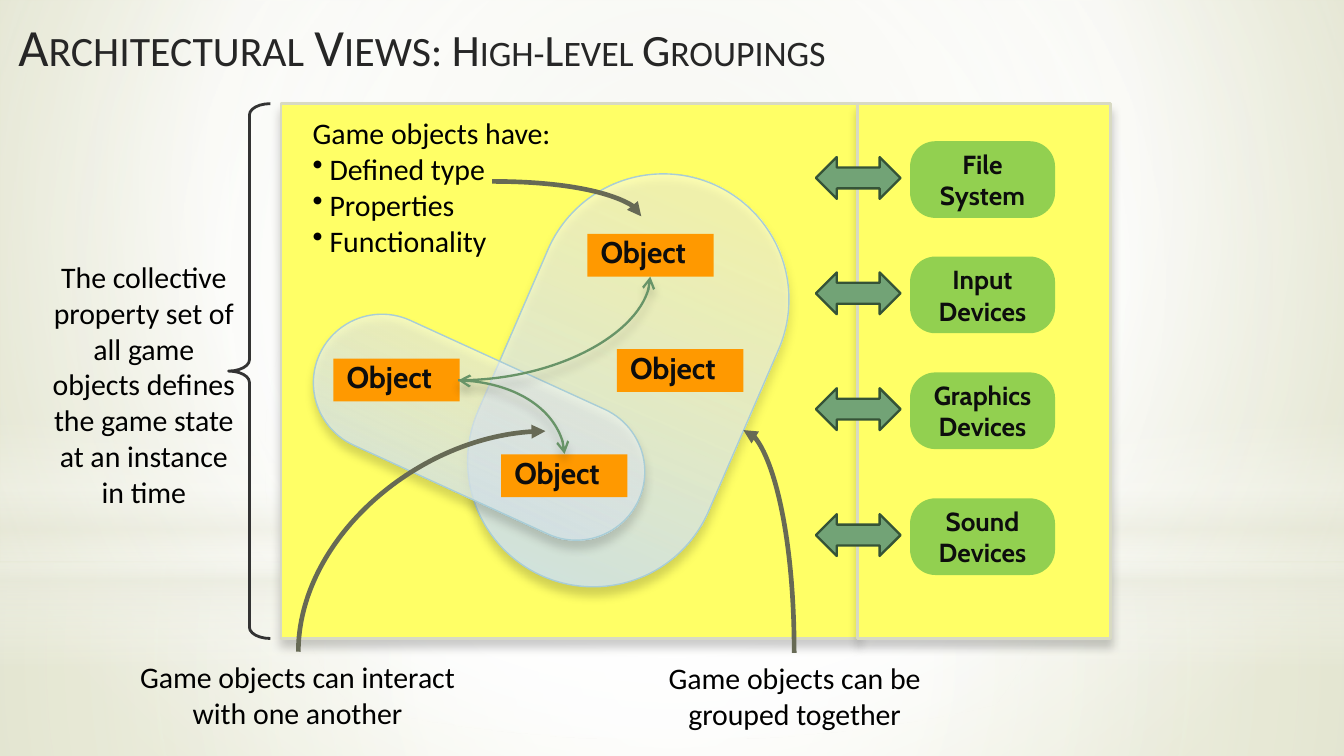
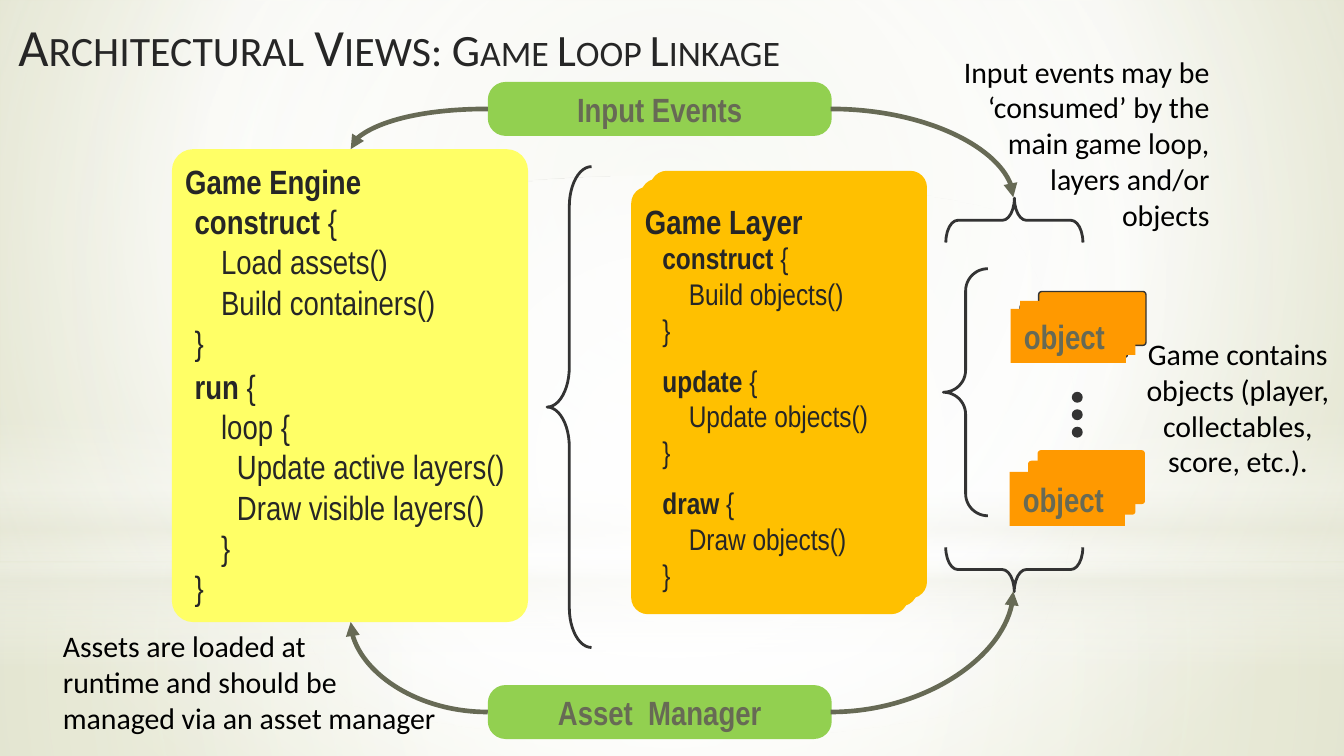
from pptx import Presentation
from pptx.dml.color import RGBColor
from pptx.enum.shapes import MSO_CONNECTOR, MSO_SHAPE
from pptx.enum.text import MSO_ANCHOR, MSO_AUTO_SIZE, PP_ALIGN
from pptx.oxml import parse_xml
from pptx.oxml.ns import nsdecls, qn
from pptx.util import Cm, Pt

RECT, ROUND, OVAL = MSO_SHAPE.RECTANGLE, MSO_SHAPE.ROUNDED_RECTANGLE, MSO_SHAPE.OVAL
BRACE, ARROW = MSO_SHAPE.LEFT_BRACE, MSO_SHAPE.LEFT_RIGHT_ARROW
CURVE, FIT = MSO_CONNECTOR.CURVE, MSO_AUTO_SIZE.SHAPE_TO_FIT_TEXT
LEFT, MID, RIGHT = PP_ALIGN.LEFT, PP_ALIGN.CENTER, PP_ALIGN.RIGHT
TOP, CENTRE = MSO_ANCHOR.TOP, MSO_ANCHOR.MIDDLE

BLACK = RGBColor(0x00, 0x00, 0x00)
INK = RGBColor(0x0D, 0x0D, 0x0D)
DARK = RGBColor(0x26, 0x26, 0x26)
GREY = RGBColor(0x33, 0x33, 0x33)
OLIVE = RGBColor(0x67, 0x6A, 0x55)
YELLOW = RGBColor(0xFF, 0xFF, 0x66)
ORANGE = RGBColor(0xFF, 0x99, 0x00)
AMBER = RGBColor(0xFF, 0xC0, 0x00)
LIME = RGBColor(0x92, 0xD0, 0x50)
GREEN = RGBColor(0x72, 0xA3, 0x76)
FOREST = RGBColor(0x35, 0x53, 0x37)
SAGE = RGBColor(0x68, 0x94, 0x68)
SAND = RGBColor(0xD8, 0xDA, 0xC2)
SKY = RGBColor(0xA8, 0xCD, 0xD7)
WHITE = RGBColor(0xFF, 0xFF, 0xFF)
MIST = RGBColor(0xEA, 0xEB, 0xDE)
ICE = RGBColor(0xF9, 0xFB, 0xFC)
POOL = RGBColor(0xC7, 0xDE, 0xE4)
CREAM = RGBColor(0xE3, 0xE5, 0xD1)
MOSS = RGBColor(0xCC, 0xD0, 0x9F)

BODY, LABEL, CODE = "Calibri", "Cabin", "Arial Narrow"
HALF = (50, 50, 50, 50)
SHADE = ('<a:outerShdw %s blurRad="63500" dist="50800" dir="5400000" rotWithShape="0">'
         '<a:srgbClr val="000000"><a:alpha val="20000"/></a:srgbClr></a:outerShdw>'
         % nsdecls("a"))


def blend(host, stops, focus=None):
    """Swap the empty fill of host for a gradient, round if focus is given, else downward.

    Each stop is (percent, colour, opacity percent)."""
    marks = "".join(
        f'<a:gs pos="{pos * 1000}"><a:srgbClr val="{hue}">'
        f'<a:alpha val="{alpha * 1000}"/></a:srgbClr></a:gs>'
        for pos, hue, alpha in stops)
    if focus:
        sides = " ".join(f'{side}="{part * 1000}"' for side, part in zip("ltrb", focus))
        way = f'<a:path path="circle"><a:fillToRect {sides}/></a:path>'
    else:
        way = '<a:lin ang="5400000" scaled="0"/>'
    fill = parse_xml(f'<a:gradFill {nsdecls("a")} rotWithShape="1">'
                     f'<a:gsLst>{marks}</a:gsLst>{way}</a:gradFill>')
    host.replace(host.find(qn("a:noFill")), fill)


class Deck:
    def __init__(self):
        self.prs = Presentation()
        self.prs.slide_width, self.prs.slide_height = Cm(25.4), Cm(14.29)
        self.slide = None

    def start(self, topic):
        """Add a slide with the shared backdrop and title."""
        self.slide = self.prs.slides.add_slide(self.prs.slide_layouts[6])
        self.slide.background.fill.background()
        blend(self.slide.element.find(".//" + qn("p:bgPr")),
              [(0, CREAM, 100), (60, WHITE, 100), (100, MOSS, 100)], (20, 10, 20, 60))
        layers = [
            (RECT, 10.64, 3.65, [(0, WHITE, 91), (37, WHITE, 76), (100, MIST, 79)], HALF),
            (RECT, 0, 10.64, [(0, WHITE, 89), (48, WHITE, 62), (100, MIST, 79)], HALF),
            (RECT, 7.85, 4.78, [(0, WHITE, 0), (29, WHITE, 30), (45, MIST, 40),
                                (55, WHITE, 26), (65, MIST, 60), (100, WHITE, 0)], None),
            (OVAL, 3.33, 10.64, [(0, WHITE, 100), (56, WHITE, 0)], HALF),
        ]
        for kind, top, high, stops, focus in layers:
            blend(self.box(kind, 0, top, 25.4, high).element.spPr, stops, focus)
        self.title(0.1, 12, ("Architectural Views", 28))
        self.title(7.9, 10.59, (": ", 28), (topic, 24))

    def title(self, x, w, *parts):
        frame = self.text(x, 0.15, w, 1.6, "", 28, DARK, anchor=TOP, fit=False)
        para = frame.paragraphs[0]
        para.space_before = Pt(5.6)
        for words, size in parts:
            run = para.add_run()
            run.text = words
            self.style(run, size, DARK)
            run._r.get_or_add_rPr().set("cap", "small")

    def style(self, run, size, hue, font=BODY, bold=False):
        run.font.name, run.font.size, run.font.bold = font, Pt(size), bold
        run.font.color.rgb = hue

    def box(self, kind, x, y, w, h, fill=None, line=None, width=0.75,
            bend=None, turn=0, shade=False):
        shape = self.slide.shapes.add_shape(kind, Cm(x), Cm(y), Cm(w), Cm(h))
        shape.shadow.inherit = False
        shape.rotation = turn
        if bend is not None:
            shape.adjustments[0] = bend
        if fill is None:
            shape.fill.background()
        else:
            shape.fill.solid()
            shape.fill.fore_color.rgb = fill
        if line is None:
            shape.line.fill.background()
        else:
            shape.line.color.rgb = line
            shape.line.width = Pt(width)
        if shade:
            shape.element.spPr.find(qn("a:effectLst")).append(parse_xml(SHADE))
        return shape

    def label(self, shape, words, size, hue, font=BODY, bold=False,
              align=LEFT, anchor=CENTRE, fit=True):
        frame = shape.text_frame
        frame.word_wrap, frame.vertical_anchor = True, anchor
        if fit:
            frame.auto_size = FIT
        frame.text = words
        for para in frame.paragraphs:
            para.alignment = align
            for run in para.runs:
                self.style(run, size, hue, font, bold)
        return frame

    def text(self, x, y, w, h, words, size=16, hue=BLACK, **look):
        area = self.slide.shapes.add_textbox(Cm(x), Cm(y), Cm(w), Cm(h))
        return self.label(area, words, size, hue, **look)

    def bullet(self, para):
        props = para._p.get_or_add_pPr()
        props.set("marL", str(Cm(0.32)))
        props.set("indent", str(-Cm(0.32)))
        props.append(parse_xml(f'<a:buChar {nsdecls("a")} char="•"/>'))

    def code(self, x, y, w, h, size, lines, gap=0):
        """Set (indent, words) lines; outer openers get a bold keyword."""
        words = "\n".join(line for _, line in lines)
        frame = self.text(x, y, w, h, words, size, DARK, font=CODE)
        for para, (inset, line) in zip(frame.paragraphs, lines):
            if inset:
                para._p.get_or_add_pPr().set("marL", str(Cm(inset)))
            elif line == "}":
                para.space_after = Pt(gap)
            else:
                head = para.runs[0]
                head.text = line.split()[0]
                head.font.bold = True
                tail = para.add_run()
                tail.text = " {"
                self.style(tail, size, DARK, CODE)

    def brace(self, x, y, w, h, bend=0.27, turn=0):
        self.box(BRACE, x, y, w, h, line=GREY, width=1.5, bend=bend, turn=turn)

    def curve(self, x1, y1, x2, y2, hue=OLIVE, width=2.5, head=None, tail=None, shade=False):
        """Quarter bend that leaves sideways and arrives upright."""
        link = self.slide.shapes.add_connector(CURVE, Cm(x1), Cm(y1), Cm(x2), Cm(y2))
        link.line.color.rgb, link.line.width = hue, Pt(width)
        props = link.element.spPr
        props.find(qn("a:prstGeom")).set("prst", "curvedConnector2")
        for end, kind in (("headEnd", head), ("tailEnd", tail)):
            if kind:
                tip = f'<a:{end} {nsdecls("a")} type="{kind}"/>'
                props.find(qn("a:ln")).append(parse_xml(tip))
        effect = parse_xml(f'<a:effectLst {nsdecls("a")}/>')
        if shade:
            effect.append(parse_xml(SHADE))
        props.append(effect)


def views(deck):
    deck.start("High-Level Groupings")
    for x, w in ((5.31, 10.92), (16.21, 4.78)):
        deck.box(RECT, x, 1.96, w, 10.11, YELLOW, SAND, 1.5, shade=True)
    for x, y, w, h, turn in ((9.5, 3.15, 4.75, 8.08, 23.4), (5.74, 6.78, 6.63, 2.59, 24.6)):
        group = deck.box(ROUND, x, y, w, h, line=SKY, bend=0.5, turn=turn, shade=True)
        blend(group.element.spPr, [(20, ICE, 50), (100, POOL, 100)])
    for x, y in ((11.1, 4.42), (6.3, 6.78), (11.66, 6.6), (9.47, 8.59)):
        item = deck.box(RECT, x, y, 2.39, 0.81, ORANGE)
        deck.label(item, "Object", 16, INK, LABEL, True).margin_top = Cm(0)

    deck.brace(4.32, 1.96, 0.79, 10.11)
    deck.text(0.74, 4.39, 3.96, 5.74, "The collective property set of all game objects "
              "defines the game state at an instance in time", align=MID)
    deck.curve(14.05, 8.13, 15.01, 12.34, head="triangle")
    deck.text(12.24, 12.34, 5.56, 1.63, "Game objects can be grouped together", align=MID)
    deck.curve(8.66, 7.19, 12.29, 5.23, SAGE, 1.25, tail="arrow", shade=True)
    deck.curve(8.66, 7.19, 10.67, 8.58, SAGE, 1.25, "arrow", "arrow", True)
    traits = deck.text(5.66, 2.03, 5.23, 3,
                       "Game objects have:\nDefined type\nProperties\nFunctionality")
    for para in traits.paragraphs[1:]:
        deck.bullet(para)
    deck.curve(9.3, 3.43, 12.12, 4.09, tail="triangle")
    deck.text(2.16, 12.32, 6.93, 1.63, "Game objects can interact with one another", align=MID)
    deck.curve(10.31, 8.15, 5.64, 12.32, head="triangle")

    for y, name in ((2.67, "File System"), (4.85, "Input Devices"),
                    (7.04, "Graphics Devices"), (9.42, "Sound Devices")):
        device = deck.box(ROUND, 17.2, y, 2.74, 1.45, LIME, bend=0.33)
        deck.label(device, name, 14, INK, LABEL, True, MID, fit=False)
        deck.box(ARROW, 15.42, y + 0.3, 1.6, 0.79, GREEN, FOREST, 1.25)


def loop(deck):
    deck.start("Game Loop Linkage")
    for i in range(3):
        deck.box(ROUND, 12.29 - 0.18 * i, 3.23 + 0.15 * i, 5.23, 8.08, AMBER, bend=0.06)
    deck.text(11.94, 3.71, 4.72, 0.94, "Game Layer", 18, DARK, font=CODE, bold=True)
    calls = [(0, "construct {"), (0.5, "Build objects()"), (0, "}"),
             (0, "update {"), (0.5, "Update objects()"), (0, "}"),
             (0, "draw {"), (0.5, "Draw objects()"), (0, "}")]
    deck.code(12.27, 4.55, 4.72, 6.63, 16, calls, 8)
    deck.brace(17.83, 5.08, 0.84, 4.67, 0.5)

    for x, y, line in ((19.63, 5.51, GREY), (19.28, 5.74, GREY),
                       (19.61, 8.51, None), (19.43, 8.71, None)):
        deck.box(ROUND, x, y, 2.03, 1.02, ORANGE, line, bend=0.06)
    deck.box(RECT, 19.28, 5.69, 2.18, 1.02, ORANGE)
    for x, y in ((19.1, 5.84), (19.08, 8.92)):
        item = deck.box(RECT, x, y, 2.18, 1.02, ORANGE)
        deck.label(item, "object", 18, OLIVE, CODE, True)
    for i in range(3):
        deck.box(OVAL, 20.27, 7.42 + 0.33 * i, 0.18, 0.18, GREY, GREY)

    deck.box(ROUND, 3.25, 2.82, 6.73, 8.94, YELLOW, bend=0.06)
    deck.code(3.43, 3.66, 5.89, 3.33, 18, [
        (0, "construct {"), (0.5, "Load assets()"), (0.5, "Build containers()"), (0, "}")])
    deck.text(3.25, 2.92, 4.55, 1.02, "Game Engine", 18, DARK, font=CODE, bold=True)
    deck.code(3.43, 6.76, 6.4, 4.88, 18, [
        (0, "run {"), (0.5, "loop {"), (0.8, "Update active layers()"),
        (0.8, "Draw visible layers()"), (0.5, "}"), (0, "}")])
    deck.brace(10.34, 3.15, 0.84, 9.09, 0.9)

    deck.text(21.39, 6.2, 4.01, 3,
              "Game contains objects (player, collectables, score, etc.).", align=MID)
    deck.text(0.94, 11.73, 7.77, 2.31, "Assets are loaded at\vruntime and should be "
              "managed via an asset manager")
    deck.text(17.93, 0.86, 5.18, 3.68, "Input events may be ‘consumed’ by the main game "
              "loop, layers and/or objects", align=RIGHT)
    for name, y, near, far, fork, turn in (
            ("Asset  Manager", 12.95, 11.76, 11.18, 9.47, 270),
            ("Input Events", 1.55, 2.82, 3.73, 2.87, 90)):
        deck.brace(18.75, fork, 0.84, 2.59, turn=turn)
        pill = deck.box(ROUND, 9.22, y, 6.5, 1.02, LIME, bend=0.33)
        deck.label(pill, name, 18, OLIVE, CODE, True, MID, fit=False)
        deck.curve(15.7, y + 0.51, 19.15, far, tail="triangle")
        deck.curve(9.22, y + 0.51, 6.63, near, tail="triangle")


def main():
    deck = Deck()
    views(deck)
    loop(deck)
    deck.prs.save("out.pptx")


if __name__ == "__main__":
    main()
